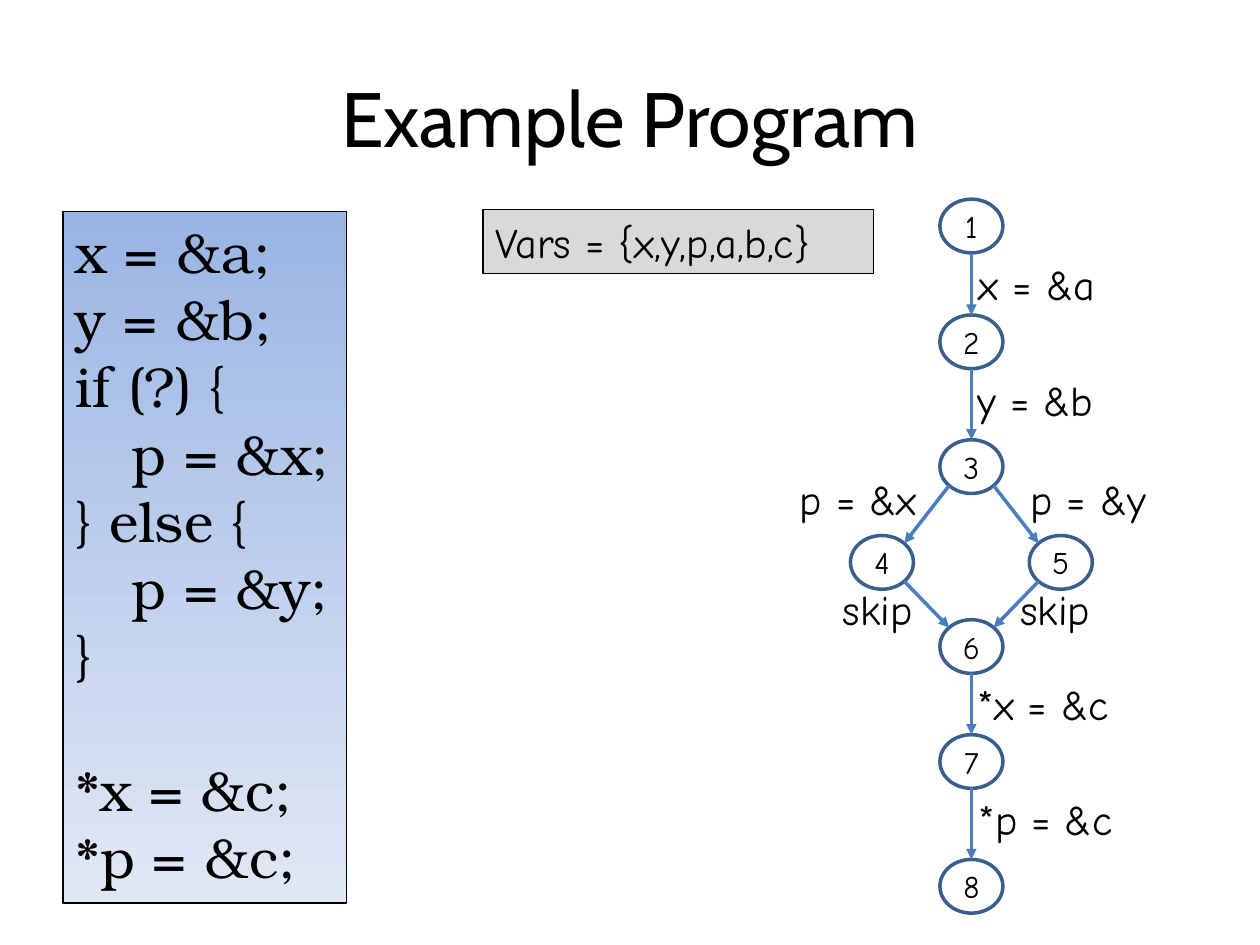
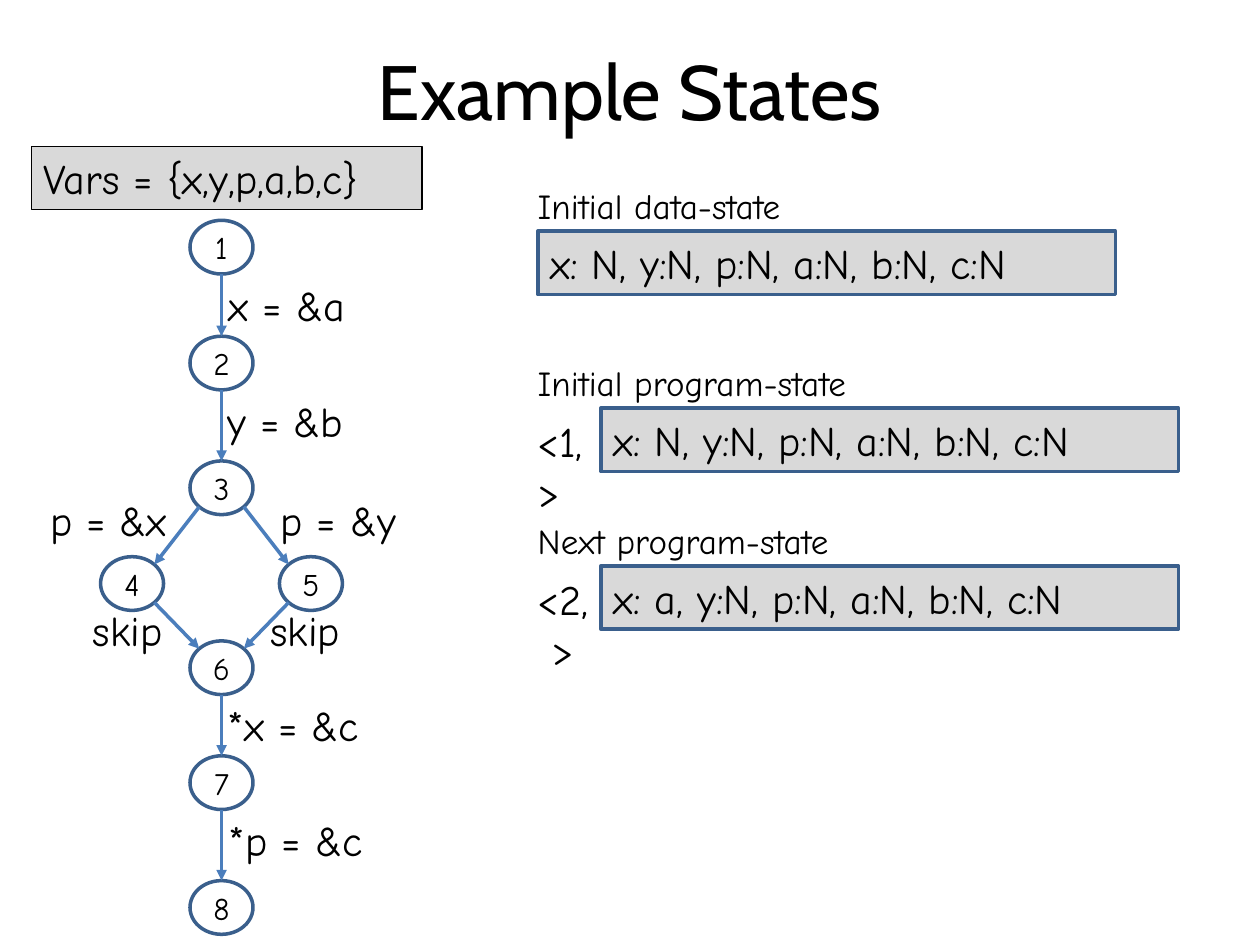
from math import sqrt

from lxml.etree import SubElement
from pptx import Presentation
from pptx.dml.color import RGBColor
from pptx.enum.shapes import MSO_CONNECTOR as Connector, MSO_SHAPE as Preset
from pptx.enum.text import MSO_ANCHOR as Anchor, PP_ALIGN as Align
from pptx.oxml.ns import qn
from pptx.util import Pt

COLORS = {
    "text": "000000",
    "panel": "D9D9D9",
    "outline": "3A5F8C",
    "arrow": "4B7EBC",
    "code_top": "9AB5E4",
    "code_bottom": "E1E8F5",
}
TITLE = {"name": "Cabin", "size": Pt(44)}
CODE = {"name": "TeX Gyre Bonum", "size": Pt(32)}
NODE = {"name": "Comic Neue", "size": Pt(18)}
HEADING = {"name": "Comic Neue", "size": Pt(20)}
BODY = {"name": "Comic Neue", "size": Pt(24)}

NODE_WIDTH, NODE_HEIGHT = 36, 30.7
BRANCH = 51.1
NODES = {
    1: (0, 0),
    2: (0, 66.2),
    3: (0, 137.5),
    4: (-BRANCH, 192.2),
    5: (BRANCH, 192.2),
    6: (0, 240.3),
    7: (0, 306),
    8: (0, 377.3),
}
EDGES = [
    (1, 2, "x = &a", -2.9, 30.2),
    (2, 3, "y = &b", -3.6, 30.2),
    (3, 4, "p = &x", -105.1, 15.9),
    (3, 5, "p = &y", 26.6, 15.9),
    (4, 6, "skip", -80.6, 23.8),
    (5, 6, "skip", 20.9, 23.8),
    (6, 7, "*x = &c", -3.6, 30.2),
    (7, 8, "*p = &c", -2.9, 30.2),
]
CODE_LINES = [
    ("x = &a;", {}),
    ("y = &b;", {}),
    ("if (?) {", {}),
    ("p = &x;", {"indent": 32}),
    ("} else {", {}),
    ("p = &y;", {"indent": 32}),
    ("}", {}),
    ("*x = &c;", {"before": 38.4}),
    ("*p = &c;", {}),
]


def color(name):
    return RGBColor.from_string(COLORS[name])


def apply_format(target, values):
    for name, value in values.items():
        setattr(target, name, value)


def write_lines(shape, lines, font, align=Align.LEFT, **frame_format):
    frame = shape.text_frame
    apply_format(frame, {"word_wrap": True, "vertical_anchor": Anchor.TOP, **frame_format})
    for index, (text, spacing) in enumerate(lines):
        paragraph = frame.add_paragraph() if index else frame.paragraphs[0]
        apply_format(paragraph, {"alignment": align, "space_before": Pt(spacing.get("before", 0))})
        if "indent" in spacing:
            paragraph._p.get_or_add_pPr().set("marL", str(Pt(spacing["indent"])))
        run = paragraph.add_run()
        run.text = text
        apply_format(run.font, font)
        run.font.color.rgb = color("text")


def add_text(slide, box, lines, font, **options):
    shape = slide.shapes.add_textbox(*map(Pt, box))
    write_lines(shape, lines, font, **options)


def add_outlined(slide, preset, box, line, width, fill=None):
    shape = slide.shapes.add_shape(preset, *map(Pt, box))
    shape.shadow.inherit = False
    if fill:
        shape.fill.solid()
        shape.fill.fore_color.rgb = color(fill)
    else:
        shape.fill.background()
    shape.line.color.rgb = color(line)
    shape.line.width = Pt(width)
    return shape


def add_title(slide, text, top):
    add_text(slide, (36, top, 648, 90), [(text, {})], TITLE,
             align=Align.CENTER, vertical_anchor=Anchor.MIDDLE)


def add_code(slide):
    shape = add_outlined(slide, Preset.RECTANGLE, (36, 120.7, 162, 395.3), "text", 0.75)
    shape.fill.gradient()
    shape.fill.gradient_angle = 270
    for stop, name in zip(shape.fill.gradient_stops, ("code_top", "code_bottom")):
        stop.color.rgb = color(name)
    write_lines(shape, CODE_LINES, CODE)


def add_variables(slide, left, top):
    shape = add_outlined(slide, Preset.RECTANGLE, (left, top, 223.2, 36.3), "text", 0.75, "panel")
    write_lines(shape, [("Vars = {x,y,p,a,b,c}", {})], BODY)


def add_node(slide, number, center, top):
    box = (center - NODE_WIDTH / 2, top, NODE_WIDTH, NODE_HEIGHT)
    shape = add_outlined(slide, Preset.OVAL, box, "outline", 2)
    margins = dict.fromkeys(("margin_left", "margin_right", "margin_top", "margin_bottom"), 0)
    write_lines(shape, [(str(number), {})], NODE, align=Align.CENTER,
                vertical_anchor=Anchor.MIDDLE, **margins)


def add_arrow(slide, start, end):
    side = (end[0] > start[0]) - (end[0] < start[0])
    reach = 1 / sqrt(2) if side else 1
    shift_x = side * reach * NODE_WIDTH / 2
    shift_y = reach * NODE_HEIGHT / 2
    middle = NODE_HEIGHT / 2
    points = (start[0] + shift_x, start[1] + middle + shift_y,
              end[0] - shift_x, end[1] + middle - shift_y)
    arrow = slide.shapes.add_connector(Connector.STRAIGHT, *map(Pt, points))
    arrow.line.color.rgb = color("arrow")
    arrow.line.width = Pt(2)
    SubElement(arrow.line._get_or_add_ln(), qn("a:tailEnd"), type="triangle")
    SubElement(arrow._element.spPr, qn("a:effectLst"))


def add_flow_graph(slide, center, top):
    places = {number: (center + x, top + y) for number, (x, y) in NODES.items()}
    for number, place in places.items():
        add_node(slide, number, *place)
    for start, end, label, label_left, label_drop in EDGES:
        add_arrow(slide, places[start], places[end])
        box = (center + label_left, places[start][1] + label_drop, 110, 36.3)
        add_text(slide, box, [(label, {})], BODY)


def add_state(slide, heading, top, values, label=None, close_indent=0):
    add_text(slide, (300.2, top, 250, 31.5), [(heading, {})], HEADING)
    left = 343.4 if label else 307.4
    box = (left, top + 30, 330, 36.3)
    shape = add_outlined(slide, Preset.RECTANGLE, box, "outline", 2, "panel")
    write_lines(shape, [(values, {})], BODY, vertical_anchor=Anchor.MIDDLE)
    if label:
        lines = [(label, {}), (">", {"indent": close_indent})]
        add_text(slide, (300.2, top + 30.7, 60, 65), lines, BODY)


def main():
    presentation = Presentation()
    apply_format(presentation, {"slide_width": Pt(720), "slide_height": Pt(540)})
    blank = presentation.slide_layouts[6]

    program = presentation.slides.add_slide(blank)
    add_title(program, "Example Program", 21.6)
    add_code(program)
    add_flow_graph(program, 555.1, 113.8)
    add_variables(program, 276, 119.9)

    states = presentation.slides.add_slide(blank)
    add_title(states, "Example States", 6)
    add_flow_graph(states, 126.6, 125.9)
    add_variables(states, 18, 83.6)
    initial = "x: N, y:N, p:N, a:N, b:N, c:N"
    add_state(states, "Initial data-state", 102.1, initial)
    add_state(states, "Initial program-state", 203.2, initial, "<1,")
    add_state(states, "Next program-state", 293.3, "x: a, y:N, p:N, a:N, b:N, c:N", "<2,", 8)

    presentation.save("out.pptx")


if __name__ == "__main__":
    main()
